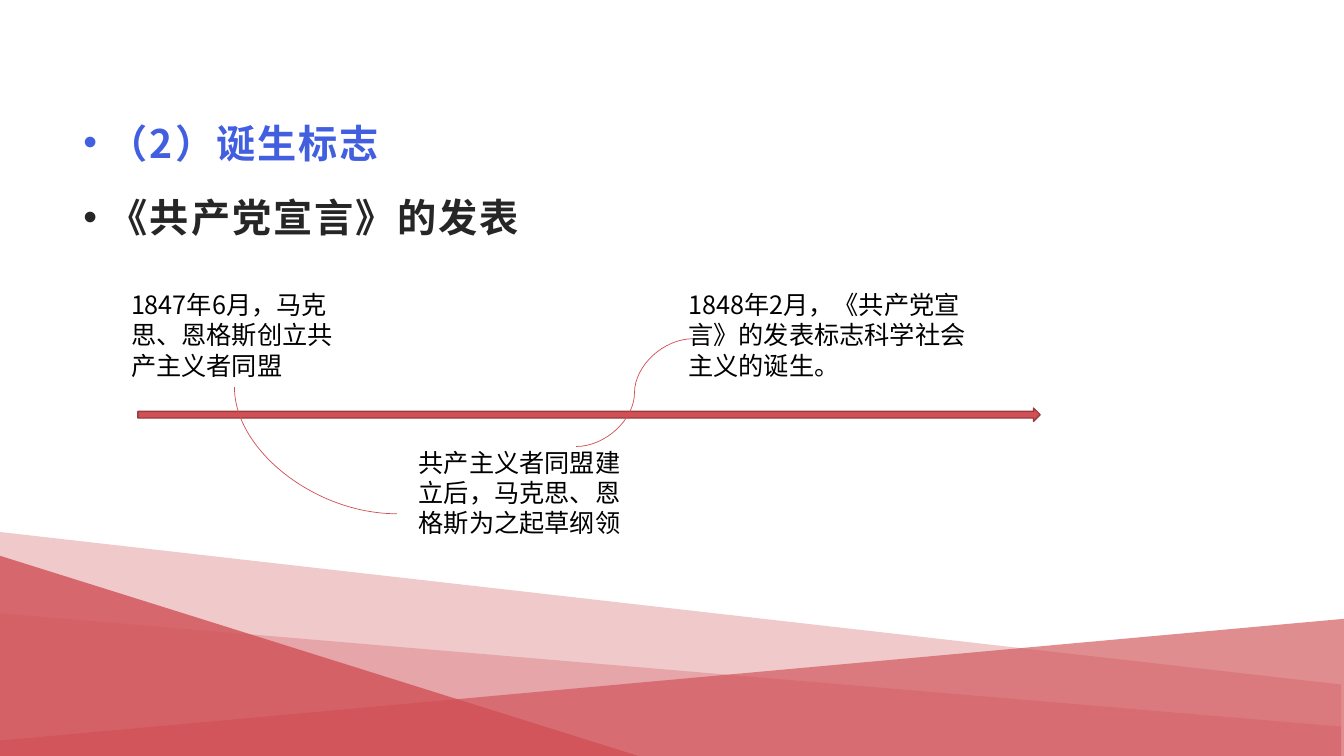
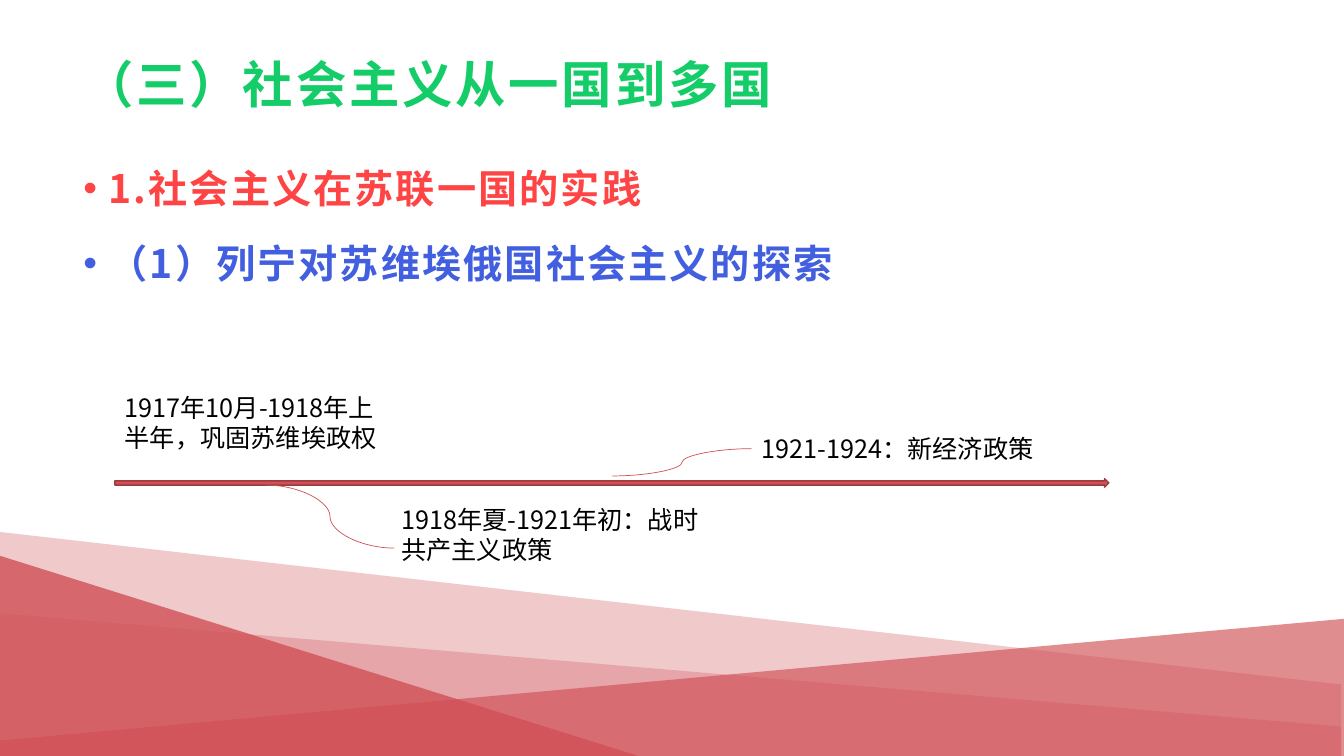
import pptx
import pptx.dml.color
import pptx.enum.shapes
import pptx.enum.text
import pptx.oxml
import pptx.oxml.ns
import pptx.util

Pt = pptx.util.Pt
SHAPE = pptx.enum.shapes.MSO_SHAPE
FONT = "Noto Sans CJK SC"
WIDTH, HEIGHT = 960, 540
COLORS = {
    "red": "D05056", "pink": "E3969A", "outline": "9A3B40",
    "green": "14CD68", "blue": "425FDF", "scarlet": "FE4444",
    "dark": "262626", "black": "000000",
}
# Bottom bands: right edge, top at left, top at right, colour, opacity in %
BANDS = [
    (957.6, 380, 489, "red", 30),
    (957.6, 438.5, 519, "pink", 70),
    (WIDTH, 529, 442, "red", 65),
]


def rgb(name):
    return pptx.dml.color.RGBColor.from_string(COLORS[name])


def add_xml(parent, tag, **attrs):
    el = pptx.oxml.parse_xml(f"<a:{tag} {pptx.oxml.ns.nsdecls('a')}/>")
    for key, value in attrs.items():
        el.set(key, str(value))
    parent.append(el)
    return el


def fill_shape(sp, color, opacity=100):
    sp.shadow.inherit = False
    sp.fill.solid()
    sp.fill.fore_color.rgb = rgb(color)
    sp.line.fill.background()
    if opacity < 100:
        clr = next(sp.element.iter(pptx.oxml.ns.qn("a:srgbClr")))
        add_xml(clr, "alpha", val=opacity * 1000)


def add_text(s, box, lines, size, line_height, bold=False, spacing=0,
             insets=(7.2, 3.6), bullets=False):
    """Place (text, colour) lines in a box, one paragraph each."""
    tf = s.shapes.add_textbox(*map(Pt, box)).text_frame
    tf.word_wrap = True
    tf.vertical_anchor = pptx.enum.text.MSO_ANCHOR.TOP
    tf.margin_left = tf.margin_right = Pt(insets[0])
    tf.margin_top = tf.margin_bottom = Pt(insets[1])
    for i, (text, color) in enumerate(lines):
        p = tf.paragraphs[0] if i == 0 else tf.add_paragraph()
        p.text = text
        p.line_spacing = Pt(line_height)
        if bullets:
            p.space_after = Pt(10)
            pPr = p._p.get_or_add_pPr()
            pPr.set("marL", str(Pt(18)))
            pPr.set("indent", str(-Pt(18)))
            add_xml(pPr, "buFont", typeface="Arial")
            add_xml(pPr, "buChar", char="•")
        p.font.size = Pt(size)
        p.font.bold = bold
        p.font.color.rgb = rgb(color)
        p.font.name = FONT
        # East Asian typeface and letter spacing
        rPr = p._p.pPr.find(pptx.oxml.ns.qn("a:defRPr"))
        rPr.set("spc", str(spacing))
        add_xml(rPr, "ea", typeface=FONT)


def add_bands(s):
    for right, left_top, right_top, color, opacity in BANDS:
        fb = s.shapes.build_freeform(0, left_top, scale=Pt(1))
        fb.add_line_segments([(right, right_top), (right, HEIGHT), (0, HEIGHT)])
        fill_shape(fb.convert_to_shape(), color, opacity)
    wedge = s.shapes.add_shape(SHAPE.RIGHT_TRIANGLE, 0, Pt(397), Pt(456), Pt(143))
    fill_shape(wedge, "red", 80)


def add_title(s, box, text):
    add_text(s, box, [(text, "green")], 36, 43, bold=True, spacing=200)


def add_body(s, box, lines):
    add_text(s, box, lines, 28, 43.5, bold=True, spacing=150,
             insets=(7.2, 0), bullets=True)


def add_curve(s, x1, y1, x2, y2, preset):
    c = s.shapes.add_connector(pptx.enum.shapes.MSO_CONNECTOR.CURVE,
                               Pt(x1), Pt(y1), Pt(x2), Pt(y2))
    c.line.color.rgb = rgb("red")
    c.line.width = Pt(0.5)
    spPr = c.element.spPr
    spPr.find(pptx.oxml.ns.qn("a:prstGeom")).set("prst", preset)
    add_xml(spPr, "effectLst")


def add_timeline(s, box, notes, curves):
    """Draw the arrow in its box; notes and curves are offset from its corner."""
    x, y = box[:2]
    arrow = s.shapes.add_shape(SHAPE.RIGHT_ARROW, *map(Pt, box))
    fill_shape(arrow, "red")
    arrow.line.color.rgb = rgb("outline")
    arrow.line.width = Pt(1)
    for dx, dy, w, h, text in notes:
        add_text(s, (x + dx, y + dy, w, h), [(text, "black")], 18, 21.5)
    for x1, y1, x2, y2, preset in curves:
        add_curve(s, x + x1, y + y1, x + x2, y + y2, preset)


def new_slide(prs):
    s = prs.slides.add_slide(prs.slide_layouts[6])
    add_bands(s)
    return s


def birth_slide(prs):
    s = new_slide(prs)
    add_body(s, (52.5, 75, 855, 115), [
        ("（2）诞生标志", "blue"),
        ("《共产党宣言》的发表", "dark"),
    ])
    add_timeline(s, (98.5, 291.5, 644.5, 9.5), [
        (-12, -88, 162.5, 73, "1847年6月，马克思、恩格斯创立共产主义者同盟"),
        (193.5, 24.5, 162.5, 73, "共产主义者同盟建立后，马克思、恩格斯为之起草纲领"),
        (386, -88, 228, 73, "1848年2月，《共产党宣言》的发表标志科学社会主义的诞生。"),
    ], [
        (185, 75.5, 69, -15, "curvedConnector2"),
        (313, 27.5, 396.5, -49.5, "curvedConnector3"),
    ])


def practice_slide(prs):
    s = new_slide(prs)
    add_title(s, (52.5, 34.5, 855, 34.5), "（三）社会主义从一国到多国")
    add_body(s, (52.5, 107.5, 855, 125), [
        ("1.社会主义在苏联一国的实践", "scarlet"),
        ("（1）列宁对苏维埃俄国社会主义的探索", "blue"),
    ])
    add_timeline(s, (82, 342, 710, 6), [
        (0, -65, 200, 51, "1917年10月-1918年上半年，巩固苏维埃政权"),
        (197.5, 14.5, 228, 51, "1918年夏-1921年初：战时共产主义政策"),
        (455, -36, 221, 29, "1921-1924：新经济政策"),
    ], [
        (108, 4.5, 199.5, 49.5, "curvedConnector3"),
        (355.5, -2, 455, -21.5, "curvedConnector3"),
    ])


def main():
    prs = pptx.Presentation()
    prs.slide_width, prs.slide_height = Pt(WIDTH), Pt(HEIGHT)
    birth_slide(prs)
    practice_slide(prs)
    prs.save("out.pptx")


if __name__ == "__main__":
    main()
